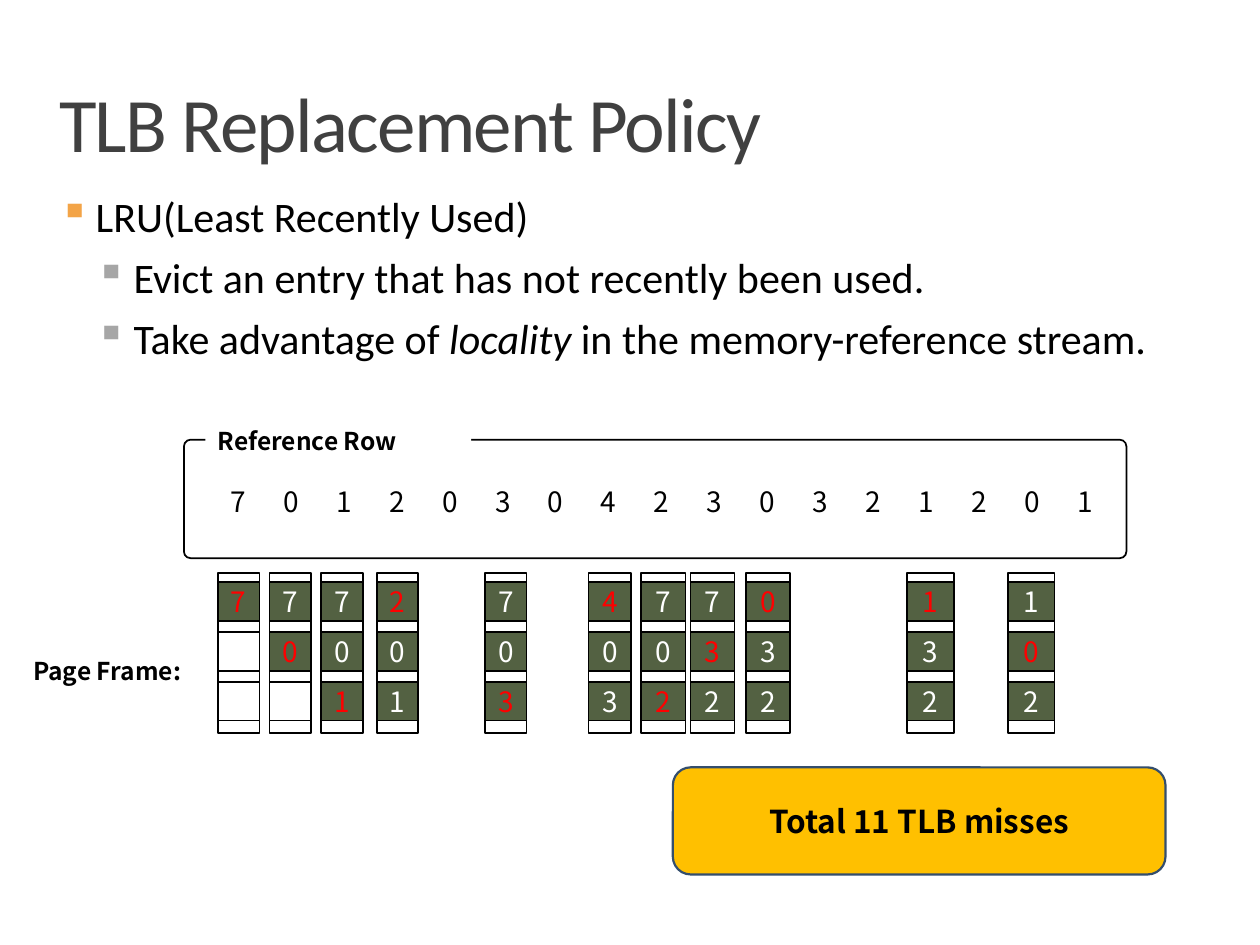
from dataclasses import dataclass
from lxml.etree import SubElement
from pptx import Presentation
from pptx.dml.color import RGBColor
from pptx.enum.shapes import MSO_SHAPE as Preset
from pptx.enum.text import MSO_ANCHOR as Anchor, PP_ALIGN as Align
from pptx.oxml.ns import qn
from pptx.util import Inches, Pt


@dataclass(frozen=True)
class Theme:
    heading_font: str = "Calibri"
    diagram_font: str = "Noto Sans CJK KR"
    title_size: int = 44
    body_size: int = 24
    total_size: int = 18
    digit_size: int = 16
    label_size: int = 14
    title: str = "404040"
    ink: str = "000000"
    paper: str = "FFFFFF"
    entry: str = "536142"
    miss: str = "FF0000"
    total: str = "FFC000"
    total_line: str = "344E6D"
    bullet: str = "F3A447"
    sub_bullet: str = "A6A6A6"


theme = Theme()

TITLE = "TLB Replacement Policy"
BULLETS = [
    (0, [("LRU(Least Recently Used)", False)]),
    (1, [("Evict an entry that has not recently been used.", False)]),
    (1, [("Take advantage of ", False), ("locality", True),
         (" in the memory-reference stream.", False)]),
]
LEVELS = [(0.29, 0.29, 18, theme.bullet), (0.59, 0.3, 6, theme.sub_bullet)]
REFERENCES = "70120304230321201"
FRAMES = [
    (1.73, 0.33, "7  ", 0),
    (2.14, 0.33, "70 ", 1),
    (2.55, 0.33, "701", 2),
    (2.99, 0.33, "201", 0),
    (3.85, 0.33, "703", 2),
    (4.67, 0.34, "403", 0),
    (5.09, 0.35, "702", 2),
    (5.48, 0.35, "732", 1),
    (5.92, 0.35, "032", 0),
    (7.2, 0.37, "132", 0),
    (8, 0.37, "102", 1),
]
FRAME_TOP, FRAME_HEIGHT = 4.55, 1.27
ENTRY_TOP, ENTRY_HEIGHT, ENTRY_PITCH = 4.62, 0.31, 0.395
REFERENCE_LEFT, REFERENCE_PITCH = 1.65, 0.42
DIGIT_INSETS = (0, 0.05, 0, 0.05)
LABEL_INSETS = (0.1, 0.05, 0.1, 0.05)

deck = Presentation()
deck.slide_width, deck.slide_height = Inches(10), Inches(7.5)
page = deck.slides.add_slide(deck.slide_layouts[6])


def add_span(para, text, size, color, font, bold=False, italic=False):
    span = para.add_run()
    span.text = text
    span.font.size, span.font.name = Pt(size), font
    span.font.bold, span.font.italic = bold, italic
    span.font.color.rgb = RGBColor.from_string(color)
    return span


def set_frame(shape, insets, anchor=Anchor.TOP):
    frame = shape.text_frame
    frame.word_wrap, frame.vertical_anchor = True, anchor
    frame.margin_left, frame.margin_top, frame.margin_right, frame.margin_bottom = map(Inches, insets)
    return frame


def add_text(*place):
    return page.shapes.add_textbox(*map(Inches, place))


def add_box(place, fill, line=None, width=1, preset=Preset.RECTANGLE):
    box = page.shapes.add_shape(preset, *map(Inches, place))
    box.shadow.inherit = False
    box.fill.solid()
    box.fill.fore_color.rgb = RGBColor.from_string(fill)
    if line:
        box.line.color.rgb = RGBColor.from_string(line)
        box.line.width = Pt(width)
    else:
        box.line.fill.background()
    return box


def write(shape, text, size, color=theme.ink, bold=False, align=Align.CENTER,
          anchor=Anchor.MIDDLE, insets=DIGIT_INSETS):
    para = set_frame(shape, insets, anchor).paragraphs[0]
    para.alignment = align
    add_span(para, text, size, color, theme.diagram_font, bold)


def add_bullet(para, level):
    indent, hanging, before, color = LEVELS[level]
    para.level, para.space_before = level, Pt(before)
    properties = para._p.get_or_add_pPr()
    properties.set("marL", str(Inches(indent)))
    properties.set("indent", str(-Inches(hanging)))
    SubElement(SubElement(properties, qn("a:buClr")), qn("a:srgbClr"), val=color)
    SubElement(properties, qn("a:buChar"), char="▪")


heading = set_frame(add_text(0.47, 0.7, 9.06, 0.79), (0, 0.04, 0, 0)).paragraphs[0]
heading.line_spacing = 0.8
title_span = add_span(heading, TITLE, theme.title_size, theme.title, theme.heading_font)
title_span.font._element.set("spc", "-100")

body = set_frame(add_text(0.47, 1.51, 9.06, 5.59), (0, 0, 0, 0))
for index, (level, spans) in enumerate(BULLETS):
    para = body.add_paragraph() if index else body.paragraphs[0]
    add_bullet(para, level)
    for text, italic in spans:
        add_span(para, text, theme.body_size, theme.ink, theme.heading_font, italic=italic)

reference_row = add_box((1.46, 3.49, 7.48, 0.94), theme.paper, theme.ink,
                        preset=Preset.ROUNDED_RECTANGLE)
reference_row.adjustments[0] = 0.056
write(add_box((1.63, 3.33, 2.11, 0.34), theme.paper), "Reference Row", theme.label_size,
      bold=True, align=Align.LEFT, anchor=Anchor.TOP, insets=LABEL_INSETS)
write(add_text(0.04, 5.16, 1.62, 0.34), "Page Frame:", theme.label_size,
      bold=True, anchor=Anchor.TOP, insets=LABEL_INSETS)

for left, width, entries, missed in FRAMES:
    add_box((left, FRAME_TOP, width, FRAME_HEIGHT), theme.paper, theme.ink)
    for slot, digit in enumerate(entries):
        used = digit != " "
        place = (left, ENTRY_TOP + slot * ENTRY_PITCH, width, ENTRY_HEIGHT)
        entry = add_box(place, theme.entry if used else theme.paper, theme.ink)
        if used:
            write(entry, digit, theme.digit_size, theme.miss if slot == missed else theme.paper)

total = add_box((5.34, 6.09, 3.91, 0.85), theme.total, theme.total_line, 1.25,
                Preset.ROUNDED_RECTANGLE)
write(total, "Total 11 TLB misses", theme.total_size, bold=True, insets=(0.12, 0.05, 0.12, 0.05))

for index, digit in enumerate(REFERENCES):
    write(add_text(REFERENCE_LEFT + index * REFERENCE_PITCH, 3.79, 0.48, 0.37),
          digit, theme.digit_size)

deck.save("out.pptx")
